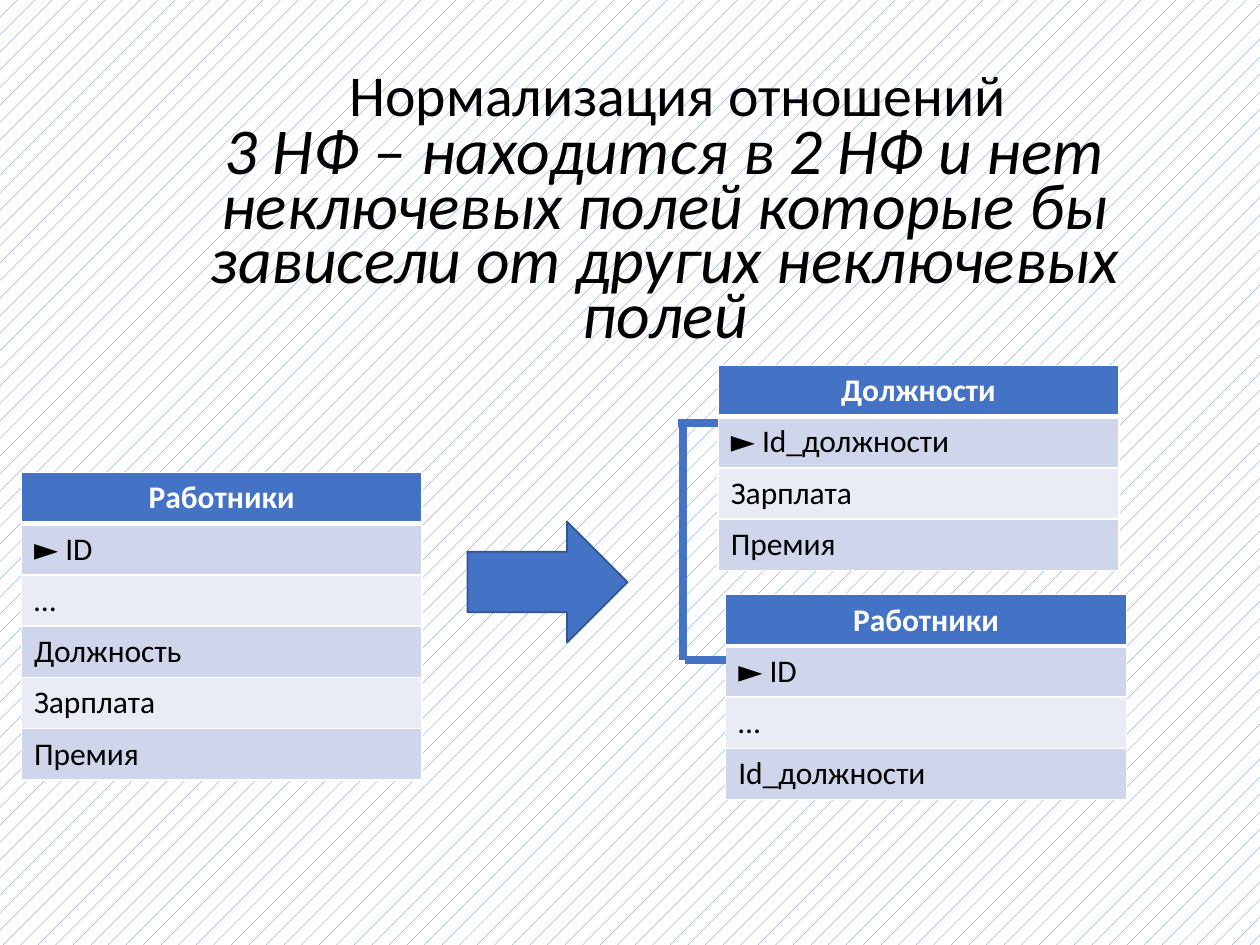
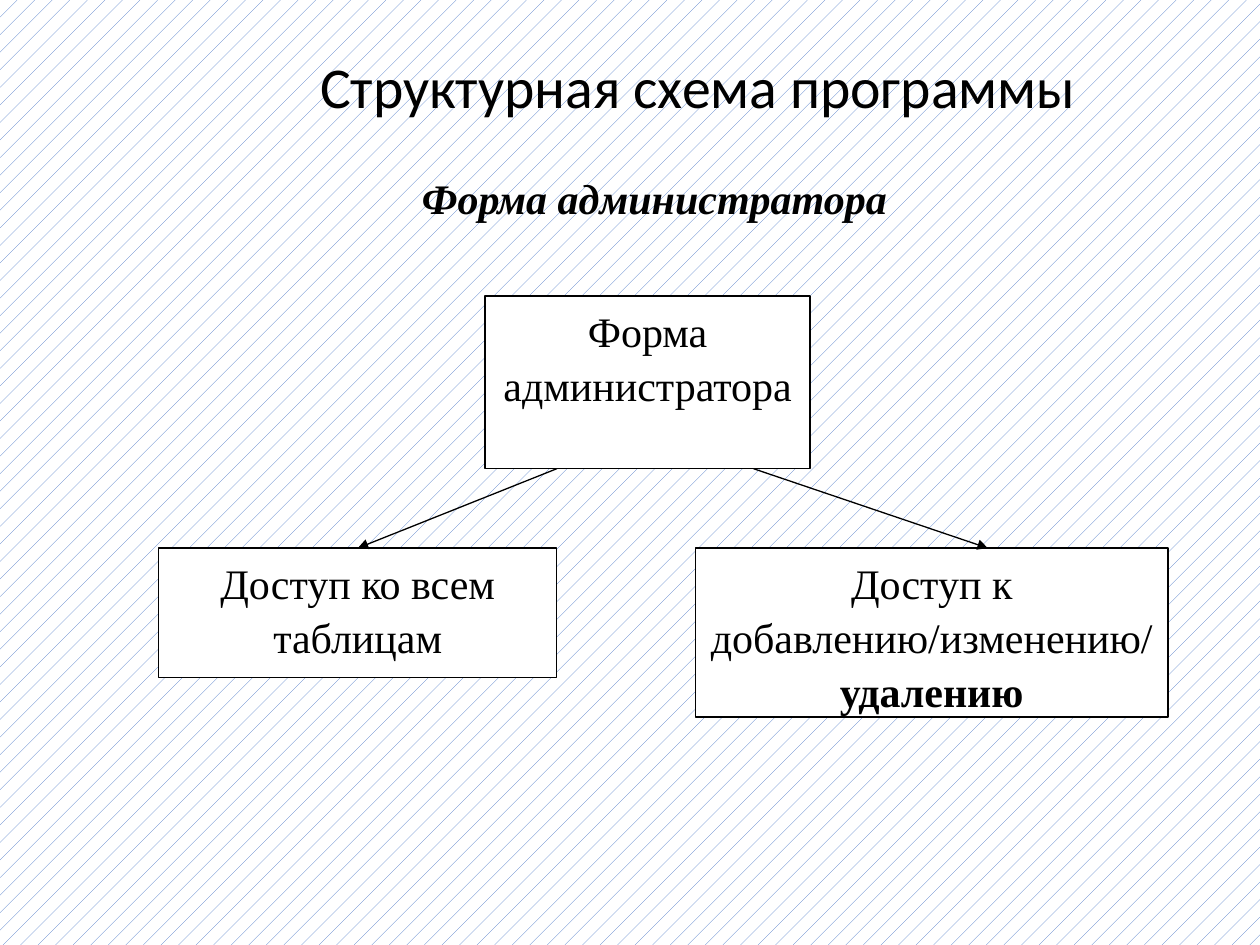
from dataclasses import dataclass
from typing import Optional

from lxml.etree import SubElement
from pptx import Presentation
from pptx.dml.color import RGBColor
from pptx.enum.dml import MSO_PATTERN
from pptx.enum.shapes import MSO_CONNECTOR, MSO_SHAPE
from pptx.enum.text import MSO_ANCHOR, PP_ALIGN
from pptx.oxml.ns import qn
from pptx.util import Inches, Length, Pt

SLIDE_WIDTH, SLIDE_HEIGHT = Inches(10), Inches(7.5)
GRID_COLUMNS, GRID_ROWS = 100, 75
BLUE, DARK_BLUE = "4472C4", "325491"
BLACK, WHITE = "000000", "FFFFFF"
BANDS = ("CFD5EA", "E9EBF5")
SANS, SERIF = "Calibri", "Times New Roman"
TABLE_WIDTH, TABLE_ROW = 31.8, 4.07


@dataclass(frozen=True)
class Area:
    column: float
    row: float
    columns: float
    rows: float


@dataclass(frozen=True)
class TextStyle:
    size: float
    font: str
    color: str = BLACK
    bold: bool = False
    italic: bool = False
    align: PP_ALIGN = PP_ALIGN.CENTER
    line_spacing: Optional[float] = None
    space_after: Optional[float] = None


@dataclass(frozen=True)
class Run:
    text: str
    bold: bool = False


@dataclass(frozen=True)
class RelationTable:
    column: float
    row: float
    name: str
    fields: tuple[str, ...]


@dataclass(frozen=True)
class Box:
    area: Area
    runs: tuple[Run, ...]


@dataclass(frozen=True)
class Line:
    start: tuple[float, float]
    end: tuple[float, float]


TITLE = TextStyle(33, SANS, line_spacing=0.9)
DEFINITION = TextStyle(37.4, SANS, italic=True, line_spacing=0.7)
TABLE_HEADER = TextStyle(18, SANS, WHITE, bold=True)
TABLE_FIELD = TextStyle(18, SANS, align=PP_ALIGN.LEFT)
BOX_TEXT = TextStyle(24, SERIF, line_spacing=1.07, space_after=8)
SUBTITLE = TextStyle(24, SERIF, bold=True, italic=True, align=PP_ALIGN.LEFT)

RELATIONS = (
    RelationTable(1.7, 37.5, "Работники",
                  ("► ID", "…", "Должность", "Зарплата", "Премия")),
    RelationTable(57, 29, "Должности",
                  ("► Id_должности", "Зарплата", "Премия")),
    RelationTable(57.6, 47.2, "Работники", ("► ID", "…", "Id_должности")),
)
KEY_LINKS = (
    Line((57, 33.6), (53.8, 33.6)),
    Line((54.2, 52.4), (54.2, 33.6)),
    Line((57.6, 52.4), (54.4, 52.4)),
)
FORM_BOXES = (
    Box(Area(38.5, 23.5, 25.8, 13.7), (Run("Форма администратора"),)),
    Box(Area(12.6, 43.5, 31.6, 10.3), (Run("Доступ ко всем таблицам"),)),
    Box(Area(55.2, 43.5, 37.5, 13.4),
        (Run("Доступ к добавлению/изменению/"), Run("удалению", bold=True))),
)
FORM_ARROWS = (
    Line((44.2, 37.2), (28.4, 43.5)),
    Line((59.8, 37.2), (78.4, 43.5)),
)


def across(columns: float) -> Length:
    return Length(round(SLIDE_WIDTH * columns / GRID_COLUMNS))


def down(rows: float) -> Length:
    return Length(round(SLIDE_HEIGHT * rows / GRID_ROWS))


def place(area: Area) -> tuple[Length, Length, Length, Length]:
    return across(area.column), down(area.row), across(area.columns), down(area.rows)


def rgb(color: str) -> RGBColor:
    return RGBColor.from_string(color)


def write(text_frame, runs: tuple[Run, ...], style: TextStyle) -> None:
    paragraph = text_frame.paragraphs[0]
    paragraph.alignment = style.align
    if style.line_spacing is not None:
        paragraph.line_spacing = style.line_spacing
    if style.space_after is not None:
        paragraph.space_after = Pt(style.space_after)
    for part in runs:
        run = paragraph.add_run()
        run.text = part.text
        font = run.font
        font.name, font.size = style.font, Pt(style.size)
        font.bold, font.italic = style.bold or part.bold, style.italic
        font.color.rgb = rgb(style.color)


def add_text(slide, area: Area, text: str, style: TextStyle,
             anchor: MSO_ANCHOR = MSO_ANCHOR.MIDDLE, wrap: bool = True) -> None:
    frame = slide.shapes.add_textbox(*place(area)).text_frame
    frame.word_wrap = wrap
    frame.vertical_anchor = anchor
    write(frame, (Run(text),), style)


def add_figure(slide, preset: MSO_SHAPE, area: Area, fill: str,
               line: str, line_width: float):
    shape = slide.shapes.add_shape(preset, *place(area))
    shape.shadow.inherit = False
    shape.fill.solid()
    shape.fill.fore_color.rgb = rgb(fill)
    shape.line.color.rgb = rgb(line)
    shape.line.width = Pt(line_width)
    return shape


def add_box(slide, box: Box) -> None:
    frame = add_figure(slide, MSO_SHAPE.RECTANGLE, box.area, WHITE, BLACK, 0.75).text_frame
    frame.word_wrap = True
    frame.vertical_anchor = MSO_ANCHOR.TOP
    write(frame, box.runs, BOX_TEXT)


def add_line(slide, line: Line, color: str, width: float, arrow: bool = False) -> None:
    (start_column, start_row), (end_column, end_row) = line.start, line.end
    connector = slide.shapes.add_connector(
        MSO_CONNECTOR.STRAIGHT, across(start_column), down(start_row),
        across(end_column), down(end_row))
    connector.line.color.rgb = rgb(color)
    connector.line.width = Pt(width)
    properties = connector.line._get_or_add_ln()
    if arrow:
        SubElement(properties, qn("a:tailEnd"), type="triangle")
    SubElement(properties.getparent(), qn("a:effectLst"))


def add_borders(cell, bottom_width: float) -> None:
    properties = cell._tc.get_or_add_tcPr()
    for side, width in (("L", 1), ("R", 1), ("T", 1), ("B", bottom_width)):
        border = SubElement(properties, qn(f"a:ln{side}"), w=str(Pt(width)))
        fill = SubElement(border, qn("a:solidFill"))
        SubElement(fill, qn("a:srgbClr"), val=WHITE)


def add_relation(slide, relation: RelationTable) -> None:
    texts = (relation.name, *relation.fields)
    area = Area(relation.column, relation.row, TABLE_WIDTH, TABLE_ROW * len(texts))
    table = slide.shapes.add_table(len(texts), 1, *place(area)).table
    for index, text in enumerate(texts):
        header = index == 0
        table.rows[index].height = down(TABLE_ROW)
        cell = table.cell(index, 0)
        add_borders(cell, 3 if index <= 0 else 1)
        cell.fill.solid()
        cell.fill.fore_color.rgb = rgb(BLUE if header else BANDS[(index - 1) % 2])
        write(cell.text_frame, (Run(text),), TABLE_HEADER if header else TABLE_FIELD)


def new_slide(presentation, title: str, title_area: Area):
    slide = presentation.slides.add_slide(presentation.slide_layouts[6])
    fill = slide.background.fill
    fill.patterned()
    fill.pattern = MSO_PATTERN.PERCENT_5
    fill.fore_color.rgb = rgb(BLUE)
    fill.back_color.rgb = rgb(WHITE)
    add_text(slide, title_area, title, TITLE)
    return slide


def add_normalization(presentation) -> None:
    slide = new_slide(presentation, "Нормализация отношений", Area(10.7, 0.5, 86.2, 14.5))
    add_text(slide, Area(9.7, 11.8, 86.2, 14.5),
             "3 НФ – находится в 2 НФ и нет неключевых полей "
             "которые бы зависели от других неключевых полей", DEFINITION)
    add_figure(slide, MSO_SHAPE.RIGHT_ARROW, Area(37.1, 41.4, 12.7, 9.6), BLUE, DARK_BLUE, 1)
    for relation in RELATIONS:
        add_relation(slide, relation)
    for link in KEY_LINKS:
        add_line(slide, link, BLUE, 4.5)


def add_program_structure(presentation) -> None:
    slide = new_slide(presentation, "Структурная схема программы", Area(10.3, -0.1, 90.2, 14.5))
    for box in FORM_BOXES:
        add_box(slide, box)
    for arrow in FORM_ARROWS:
        add_line(slide, arrow, BLACK, 0.75, arrow=True)
    add_text(slide, Area(32.5, 13.2, 40.7, 5), "Форма администратора", SUBTITLE,
             MSO_ANCHOR.TOP, wrap=False)


def main() -> None:
    presentation = Presentation()
    presentation.slide_width, presentation.slide_height = SLIDE_WIDTH, SLIDE_HEIGHT
    add_normalization(presentation)
    add_program_structure(presentation)
    presentation.save("out.pptx")


if __name__ == "__main__":
    main()
